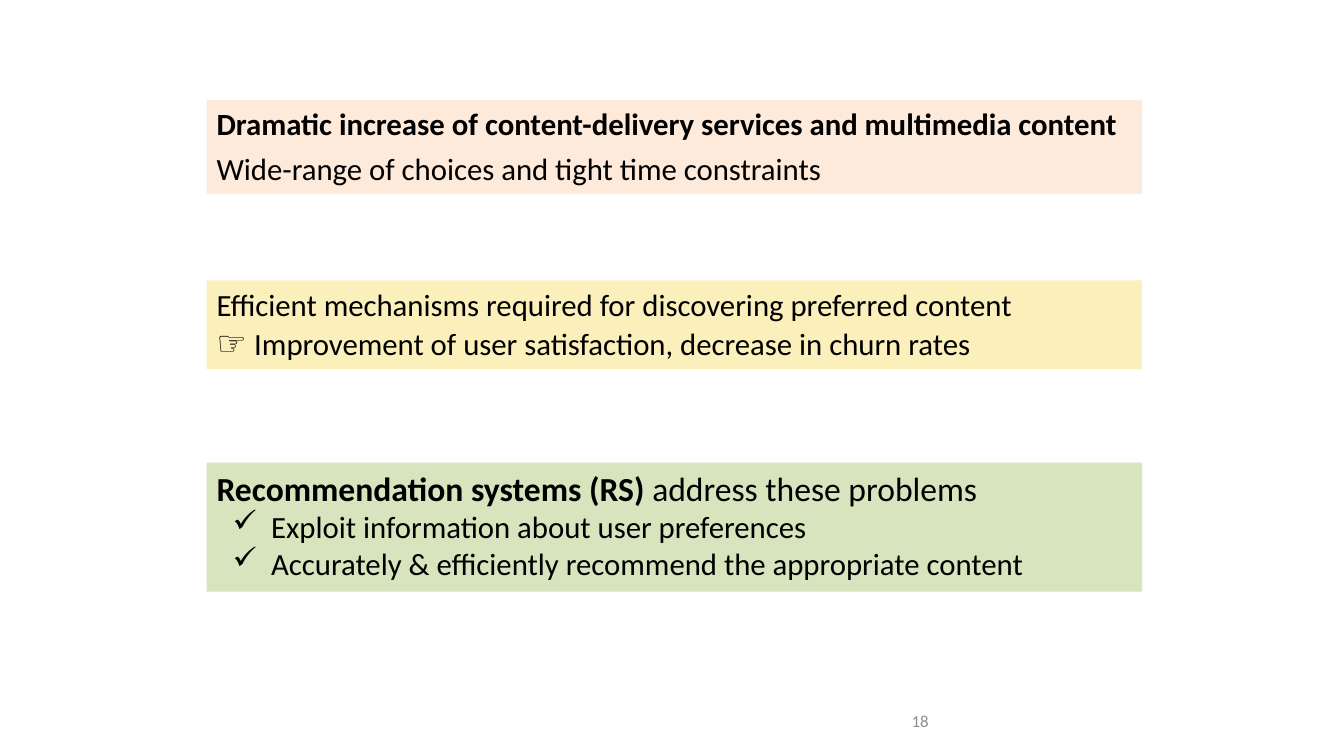
from lxml.etree import SubElement
from pptx import Presentation
from pptx.dml.color import RGBColor
from pptx.enum.text import MSO_ANCHOR, MSO_AUTO_SIZE, PP_ALIGN
from pptx.oxml.ns import qn
from pptx.util import Pt

COLOURS = {
    "peach": "FDEADA",
    "yellow": "FBF0BB",
    "green": "D7E4BD",
    "text": "000000",
    "number": "8C8C8C",
}
FONT = "Calibri"
PANEL_LEFT, PANEL_WIDTH = 147.6, 668.2
BULLET_MARGIN, BULLET_HANG = 39, 27.5

# Each panel: colour, top, height, lines.
# Each line: space before, bullet, spans of (text, size, bold).
PANELS = [
    ("peach", 71.3, 67, [
        (0, None, [("Dramatic increase of content-delivery services and multimedia content", 22, True)]),
        (6, None, [("Wide-range of choices and tight time constraints", 22, False)]),
    ]),
    ("yellow", 200.2, 63.4, [
        (0, None, [("Efficient mechanisms required for discovering preferred content", 22, False)]),
        (0, None, [("☞ ", 24, False),
                   ("Improvement of user satisfaction, decrease in churn rates", 22, False)]),
    ]),
    ("green", 330.5, 92.2, [
        (0, None, [("Recommendation systems (RS) ", 24, True),
                   ("address these problems", 24, False)]),
        (0, "✓", [("Exploit information about user preferences", 22, False)]),
        (0, "✓", [("Accurately & efficiently recommend the appropriate content", 22, False)]),
    ]),
]
PAGE_NUMBER = "18"


def colour(name):
    return RGBColor.from_string(COLOURS[name])


def add_box(page, left, top, width, height):
    box = page.shapes.add_textbox(Pt(left), Pt(top), Pt(width), Pt(height))
    box.text_frame.word_wrap = True
    return box


def set_bullet(para, symbol):
    properties = para._p.get_or_add_pPr()
    properties.set("marL", str(Pt(BULLET_MARGIN)))
    properties.set("indent", str(-Pt(BULLET_HANG)))
    SubElement(properties, qn("a:buChar"), char=symbol)


def add_line(para, space_before, bullet, spans):
    if bullet:
        set_bullet(para, bullet)
    if space_before:
        para.space_before = Pt(space_before)
    para.font.name = FONT
    para.font.color.rgb = colour("text")
    for text, size, bold in spans:
        span = para.add_run()
        span.text = text
        span.font.size = Pt(size)
        span.font.bold = bold


def add_panel(page, fill, top, height, lines):
    box = add_box(page, PANEL_LEFT, top, PANEL_WIDTH, height)
    box.fill.solid()
    box.fill.fore_color.rgb = colour(fill)
    frame = box.text_frame
    frame.auto_size = MSO_AUTO_SIZE.SHAPE_TO_FIT_TEXT
    for index, line in enumerate(lines):
        para = frame.add_paragraph() if index else frame.paragraphs[0]
        add_line(para, *line)


def add_page_number(page):
    box = add_box(page, 508.3, 500.4, 162, 28.8)
    box.text_frame.vertical_anchor = MSO_ANCHOR.MIDDLE
    para = box.text_frame.paragraphs[0]
    para.text = PAGE_NUMBER
    para.alignment = PP_ALIGN.RIGHT
    para.font.name = FONT
    para.font.size = Pt(12)
    para.font.color.rgb = colour("number")


def main():
    deck = Presentation()
    deck.slide_width, deck.slide_height = Pt(960), Pt(540)
    page = deck.slides.add_slide(deck.slide_layouts[6])
    for panel in PANELS:
        add_panel(page, *panel)
    add_page_number(page)
    deck.save("out.pptx")


if __name__ == "__main__":
    main()
